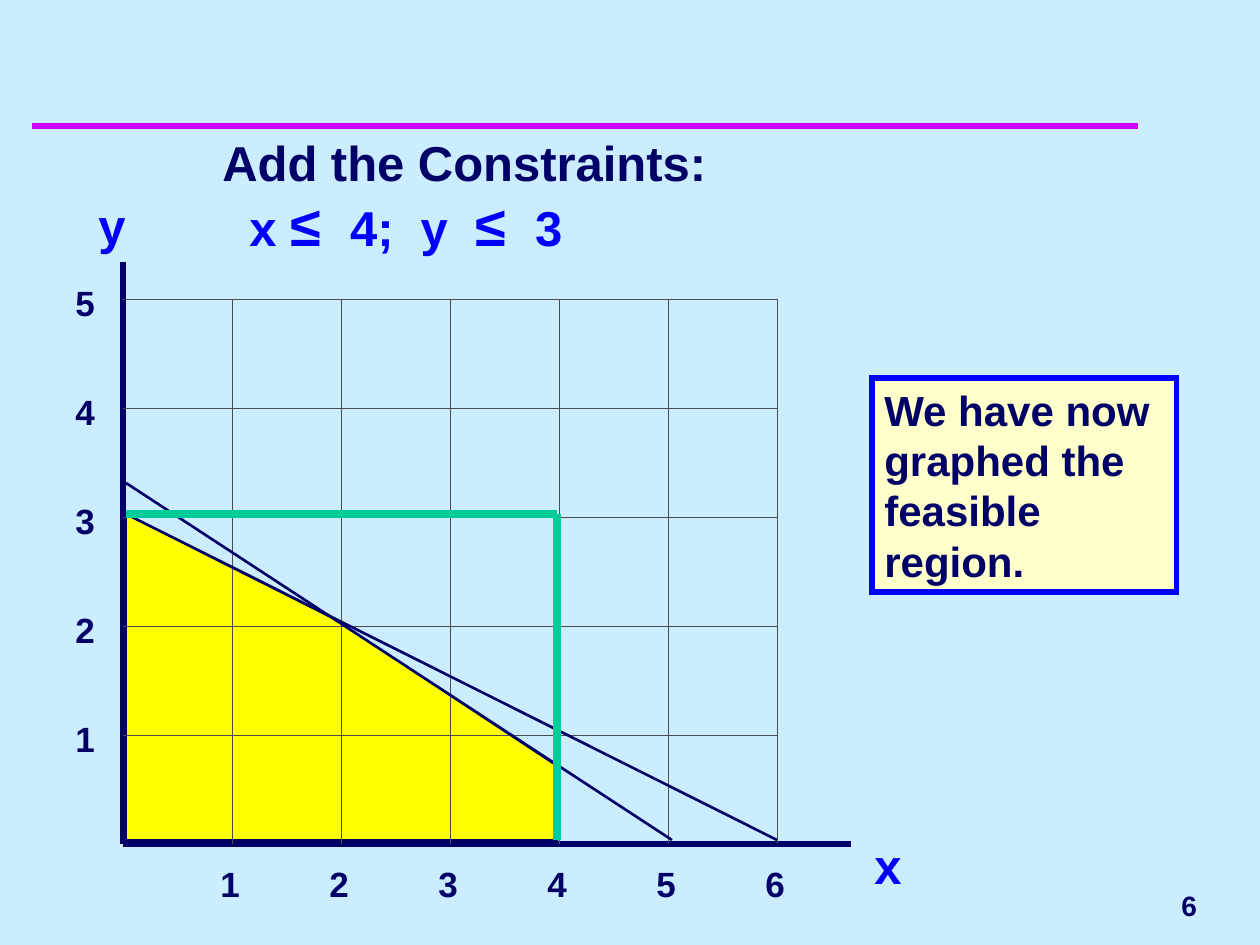
from lxml.etree import SubElement
from pptx import Presentation
from pptx.dml.color import RGBColor
from pptx.enum.shapes import MSO_CONNECTOR as CONNECTOR, MSO_SHAPE as SHAPE
from pptx.enum.text import MSO_ANCHOR as ANCHOR, MSO_AUTO_SIZE as AUTO_SIZE, PP_ALIGN as ALIGN
from pptx.oxml.ns import qn
from pptx.util import Pt

PX = 914400 / 126
COLORS = {
    "background": "CCECFF", "rule": "CC00FF", "navy": "000066", "blue": "0000FF",
    "region": "FFFF00", "grid": "4D4D4D", "limit": "00CC99", "note": "FFFFCC",
}
TITLE = "Add the Constraints:"
LIMITS = [("x ", 28), ("≤ ", 32), (" 4;  y  ", 28), ("≤ ", 32), (" 3", 28)]
LIMITS_INDENT = 27
NOTE = "We have now graphed the feasible region."
PAGE_NUMBER = "6"

ORIGIN_X, ORIGIN_Y, UNIT = 123, 844, 109
COLUMNS, ROWS = 6, 5
REGION = [(126, 840), (557, 840), (557, 766), (336, 620), (126, 514)]
AXES = [(ORIGIN_X, 262, ORIGIN_X, ORIGIN_Y), (ORIGIN_X, ORIGIN_Y, 851, ORIGIN_Y)]
CONSTRAINTS = [(672, 840, 126, 483), (777, 840, 126, 514)]
LIMIT_LINES = [(557, 514, 557, 840), (126, 514, 557, 514)]
AXIS_NAMES = [("x", 862, 829), ("y", 86, 189)]


def emu(px):
    return round(px * PX)


def color(name):
    return RGBColor.from_string(COLORS[name])


def add_line(ends, stroke, width):
    line = slide.shapes.add_connector(CONNECTOR.STRAIGHT, *map(emu, ends))
    line.line.color.rgb = color(stroke)
    line.line.width = Pt(width)
    SubElement(line._element.spPr, qn("a:effectLst"))


def paint(shape, fill, stroke, width):
    shape.shadow.inherit = False
    shape.fill.solid()
    shape.fill.fore_color.rgb = color(fill)
    shape.line.color.rgb = color(stroke)
    shape.line.width = Pt(width)
    SubElement(shape.line._get_or_add_ln(), qn("a:miter"), lim="800000")


def style(paragraph, size, ink):
    font = paragraph.font
    font.name, font.bold, font.size = "Arial", True, Pt(size)
    font.color.rgb = color(ink)


def fill_frame(frame, text, size, ink="navy", wrap=True):
    frame.word_wrap = wrap
    frame.auto_size = AUTO_SIZE.SHAPE_TO_FIT_TEXT
    frame.vertical_anchor = ANCHOR.TOP
    frame.text = text
    frame.paragraphs[0].alignment = ALIGN.LEFT
    style(frame.paragraphs[0], size, ink)


def add_text(text, box, size, ink="navy", wrap=True):
    frame = slide.shapes.add_textbox(*map(emu, box)).text_frame
    fill_frame(frame, text, size, ink, wrap)
    return frame


prs = Presentation()
prs.slide_width, prs.slide_height = emu(1260), emu(945)
slide = prs.slides.add_slide(prs.slide_layouts[6])
slide.background.fill.solid()
slide.background.fill.fore_color.rgb = color("background")

add_line((32, 126, 1138, 126), "rule", 4)

outline = slide.shapes.build_freeform(*REGION[0], scale=PX)
outline.add_line_segments(REGION[1:], close=True)
paint(outline.convert_to_shape(), "region", "navy", 1)

add_text(PAGE_NUMBER, (1169, 882, 71, 47), 16)

for axis in AXES:
    add_line(axis, "navy", 3)

right, top = ORIGIN_X + COLUMNS * UNIT, ORIGIN_Y - ROWS * UNIT
for value in range(1, COLUMNS + 1):
    x = ORIGIN_X + value * UNIT
    add_text(str(value), (x - 24, 856, 73, 55), 20)
    add_line((x, top, x, ORIGIN_Y), "grid", 0.25)
for value in range(1, ROWS + 1):
    y = ORIGIN_Y - value * UNIT
    add_text(str(value), (63, y - 24, 73, 55), 20)
    add_line((ORIGIN_X, y, right, y), "grid", 0.25)

heading = add_text(TITLE, (210, 126, 577, 139), 28)
limits = heading.add_paragraph()
limits._p.get_or_add_pPr().set("marL", str(emu(LIMITS_INDENT)))
style(limits, 28, "blue")
for text, size in LIMITS:
    run = limits.add_run()
    run.text = text
    run.font.size = Pt(size)

for constraint in CONSTRAINTS:
    add_line(constraint, "navy", 1.5)
for name, x, y in AXIS_NAMES:
    add_text(name, (x, y, 52, 72), 28, "blue", wrap=False)
for limit in LIMIT_LINES:
    add_line(limit, "limit", 4.5)

note = slide.shapes.add_shape(SHAPE.RECTANGLE, *map(emu, (872, 378, 305, 214)))
paint(note, "note", "blue", 3)
fill_frame(note.text_frame, NOTE, 24)

prs.save("out.pptx")
